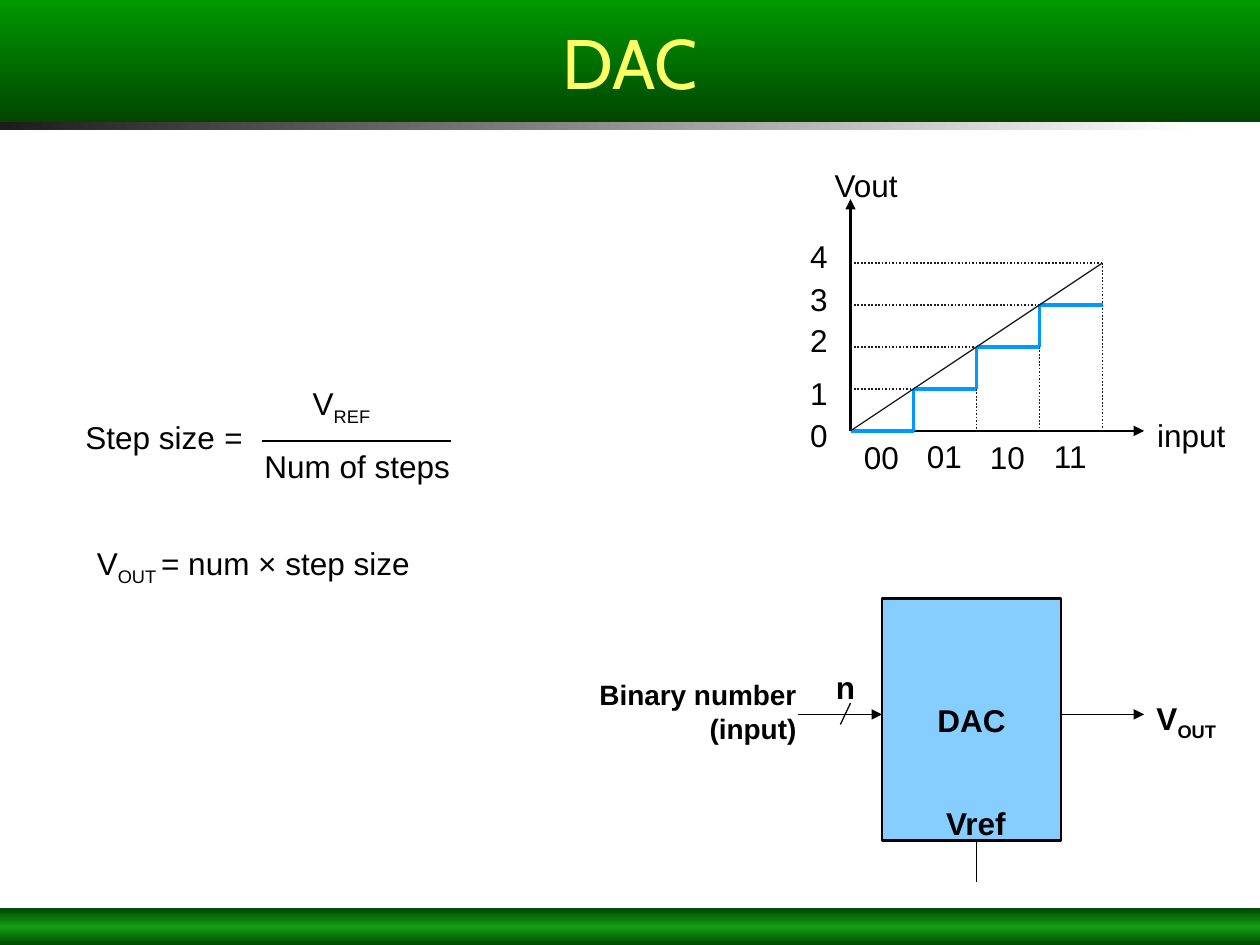
from lxml.etree import SubElement
from pptx import Presentation
from pptx.dml.color import RGBColor
from pptx.enum.dml import MSO_LINE
from pptx.enum.shapes import MSO_CONNECTOR, MSO_SHAPE
from pptx.enum.text import MSO_ANCHOR, PP_ALIGN
from pptx.oxml.ns import qn
from pptx.util import Inches, Pt

BLACK = RGBColor(0x00, 0x00, 0x00)
DARK = RGBColor(0x1C, 0x1C, 0x1C)
WHITE = RGBColor(0xFF, 0xFF, 0xFF)
GREEN = RGBColor(0x00, 0x99, 0x00)
DEEP_GREEN = RGBColor(0x00, 0x46, 0x00)
YELLOW = RGBColor(0xFF, 0xFF, 0x66)
STEP_BLUE = RGBColor(0x00, 0x99, 0xFF)
BOX_BLUE = RGBColor(0x85, 0xCE, 0xFF)
LEFT, CENTER, RIGHT = PP_ALIGN.LEFT, PP_ALIGN.CENTER, PP_ALIGN.RIGHT
DOWN, ACROSS = 270, 0

X0, Y0, STEP_X, STEP_Y = 6.75, 3.42, 0.5, 1 / 3
CODES = [("00", 3.43), ("01", 3.42), ("10", 3.43), ("11", 3.42)]
LEVELS = [("0", 3.25), ("1", 2.92), ("2", 2.5), ("3", 2.17), ("4", 1.83)]
BOLD, ITALIC, SUB = {"bold": True}, {"italic": True}, {"sub": True}
BOLD_SUB = {"bold": True, "sub": True}

LABELS = [
    ((9.08, 3.25, 0.75, 0.4), CENTER, [("input", {})]),
    ((6.5, 1.27, 0.75, 0.4), CENTER, [("Vout", {})]),
    ((7.33, 6.33, 0.83, 0.4), CENTER, [("Vref", BOLD)]),
    ((9, 5.5, 0.83, 0.44), CENTER, [("V", BOLD), ("OUT", BOLD_SUB)]),
    ((4.42, 5.33, 2, 0.64), RIGHT, [("Binary number (input)", {"bold": True, "size": Pt(16)})]),
    ((6.25, 5.25, 0.92, 0.4), CENTER, [("n", BOLD)]),
    ((0.58, 3.27, 1.58, 0.4), LEFT, [("Step size", {}), (" =", ITALIC)]),
    ((2.17, 3, 1.08, 0.44), CENTER, [("V", {}), ("REF", SUB)]),
    ((2, 3.5, 1.75, 0.4), LEFT, [("Num of steps", {})]),
    ((0.67, 4.27, 3, 0.44), LEFT, [("V", {}), ("OUT ", SUB), ("= num × step size", {})]),
]
LABELS += [((6.58 + i * STEP_X, top, 0.83, 0.4), CENTER, [(code, {})])
           for i, (code, top) in enumerate(CODES)]
LABELS += [((6.25, top, 0.5, 0.4), CENTER, [(level, {})]) for level, top in LEVELS]

AXES = [((X0, Y0), (X0, 1.58)), ((X0, Y0), (9.08, Y0))]
SIGNALS = [((6.33, 5.67), (7, 5.67)), ((8.42, 5.67), (9.08, 5.67))]
PLAIN_WIRES = [((6.75, 5.58), (6.67, 5.75)), ((7.75, 6.67), (7.75, 7))]
FRACTION_BAR = ((2.08, 3.5), (3.58, 3.5))

prs = Presentation()
prs.slide_width, prs.slide_height = Inches(10), Inches(7.5)
slide = prs.slides.add_slide(prs.slide_layouts[5])
shapes = slide.shapes


def inches(values):
    return [Inches(v) for v in values]


def grid(i, j):
    return X0 + i * STEP_X, Y0 - j * STEP_Y


def add_line(ends, color, width, dash=None, arrow=False):
    (x1, y1), (x2, y2) = ends
    c = shapes.add_connector(MSO_CONNECTOR.STRAIGHT, *inches((x1, y1, x2, y2)))
    c.line.color.rgb, c.line.width = color, Pt(width)
    if dash:
        c.line.dash_style = dash
    if arrow:
        SubElement(c.line._get_or_add_ln(), qn("a:tailEnd"), type="triangle")
    SubElement(c._element.spPr, qn("a:effectLst"))


def add_rect(box, line=None):
    sp = shapes.add_shape(MSO_SHAPE.RECTANGLE, *inches(box))
    sp.shadow.inherit = False
    if line is None:
        sp.line.fill.background()
    else:
        sp.line.color.rgb, sp.line.width = line, Pt(1.5)
    return sp


def set_gradient(sp, stops, angle):
    sp.fill.gradient()
    sp.fill.gradient_angle = angle
    gs_list = sp._element.spPr.find(".//" + qn("a:gsLst"))
    for gs in list(gs_list):
        gs_list.remove(gs)
    for pos, color, alpha in stops:
        gs = SubElement(gs_list, qn("a:gs"), pos=str(pos * 1000))
        clr = SubElement(gs, qn("a:srgbClr"), val=str(color))
        if alpha < 100:
            SubElement(clr, qn("a:alpha"), val=str(alpha * 1000))


def write(sp, runs, align, **base):
    p = sp.text_frame.paragraphs[0]
    p.alignment = align
    for text, fmt in runs:
        r = p.add_run()
        r.text = text
        values = {"name": "Arial", "size": Pt(18), "color": BLACK, **base, **fmt}
        r.font.color.rgb = values.pop("color")
        if values.pop("sub", False):
            r.font._element.set("baseline", "-25000")
        for key, value in values.items():
            setattr(r.font, key, value)


footer = add_rect((0, 7.21, 10, 0.29))
set_gradient(footer, [(0, DEEP_GREEN, 100), (50, GREEN, 92), (100, DEEP_GREEN, 100)], DOWN)
stripe = add_rect((0, 0.97, 9.51, 0.06))
set_gradient(stripe, [(0, DARK, 100), (100, WHITE, 100)], ACROSS)

title = shapes.title
title.left, title.top, title.width, title.height = inches((0, 0, 10, 0.97))
set_gradient(title, [(0, GREEN, 100), (100, DEEP_GREEN, 100)], DOWN)
title.text_frame.vertical_anchor = MSO_ANCHOR.MIDDLE
write(title, [("DAC", {})], CENTER, name="Cabin", size=Pt(40), color=YELLOW)

for ends in AXES:
    add_line(ends, BLACK, 1.5, arrow=True)
for k in range(4):
    add_line((grid(k, k), grid(k + 1, k)), STEP_BLUE, 2.24)
    if k:
        add_line((grid(k, k - 1), grid(k, k)), STEP_BLUE, 2.24)
for k in range(1, 5):
    add_line((grid(0, k), grid(k, k)), DARK, 0.99, MSO_LINE.ROUND_DOT)
for column, height in [(2, 1), (3, 2), (4, 4)]:
    add_line((grid(column, height), grid(column, 0)), DARK, 0.99, MSO_LINE.ROUND_DOT)
add_line((grid(0, 0), grid(4, 4)), DARK, 0.74)

dac = add_rect((7, 4.75, 1.42, 1.92), BLACK)
dac.fill.solid()
dac.fill.fore_color.rgb = BOX_BLUE
dac.text_frame.word_wrap = False
dac.text_frame.vertical_anchor = MSO_ANCHOR.MIDDLE
write(dac, [("DAC", BOLD)], CENTER)

for ends in SIGNALS:
    add_line(ends, BLACK, 0.74, arrow=True)
for ends in PLAIN_WIRES:
    add_line(ends, BLACK, 0.74)
add_line(FRACTION_BAR, BLACK, 1.5)

for box, align, runs in LABELS:
    label = shapes.add_textbox(*inches(box))
    label.text_frame.word_wrap = True
    write(label, runs, align)

prs.save("out.pptx")
